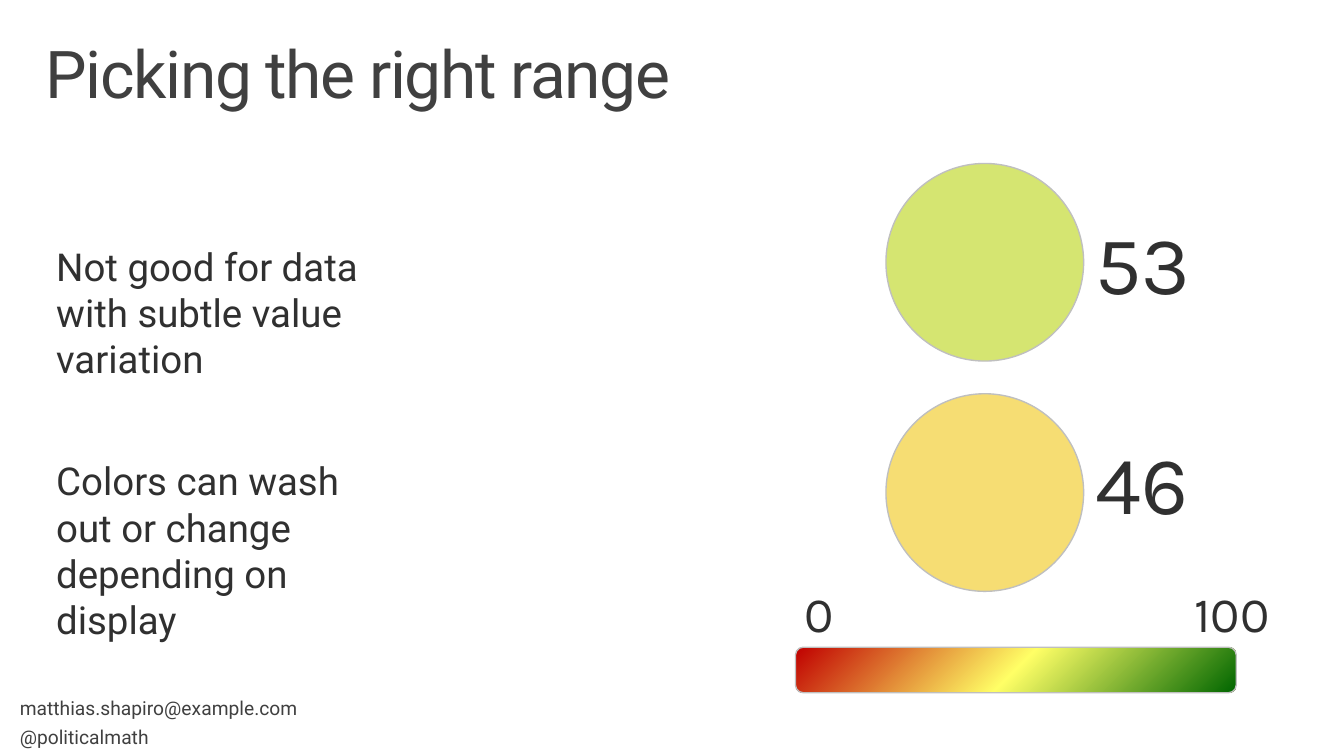
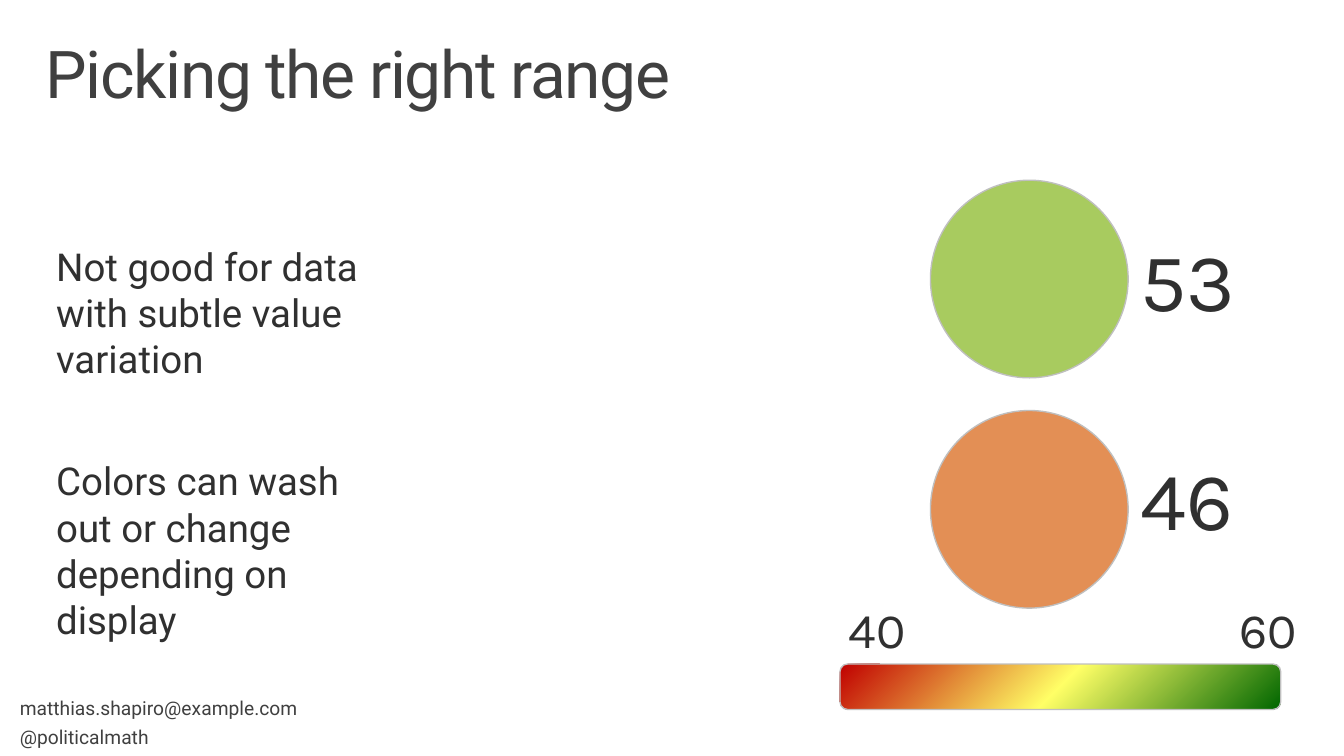
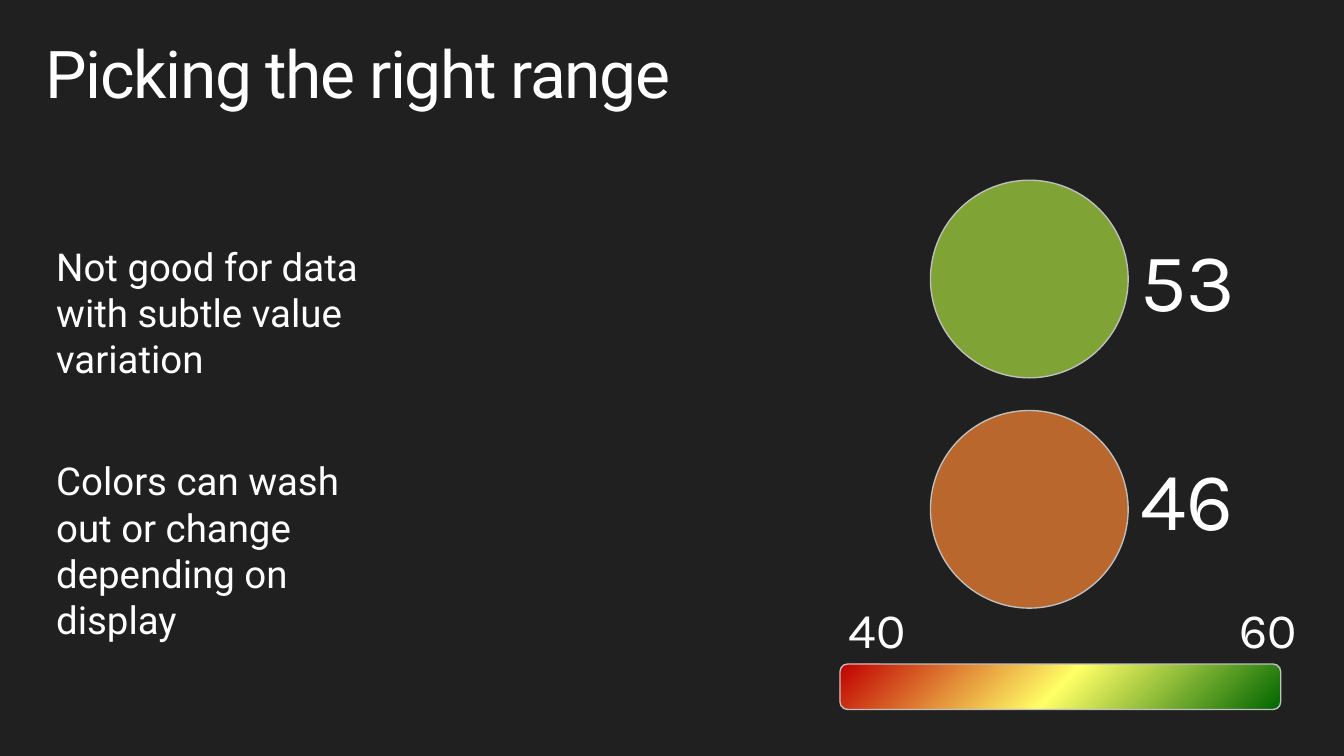
from dataclasses import dataclass

from pptx import Presentation
from pptx import util as u
from pptx.dml.color import RGBColor
from pptx.enum import shapes, text
from pptx.oxml import parse_xml
from pptx.oxml.ns import nsdecls, qn
from pptx.oxml.xmlchemy import OxmlElement
from pptx.presentation import Presentation as Deck
from pptx.shapes.autoshape import Shape
from pptx.slide import Slide

# Shared look
WIDTH, HEIGHT = u.Inches(13.6), u.Inches(7.65)
BODY_FONT, NUMBER_FONT = "Roboto", "Karla"
WHITE = RGBColor(0xFF, 0xFF, 0xFF)
NIGHT = RGBColor(0x20, 0x20, 0x20)
INK = RGBColor(0x30, 0x30, 0x30)
TITLE_INK = RGBColor(0x40, 0x40, 0x40)
OUTLINE = RGBColor(0xBF, 0xBF, 0xBF)
LIME = RGBColor(0xCC, 0xE0, 0x52)
SAND = RGBColor(0xF5, 0xD6, 0x55)
LEAF = RGBColor(0x96, 0xC0, 0x3C)
RUST = RGBColor(0xDD, 0x77, 0x30)
SCALE_STOPS = (
    (0, RGBColor(0x00, 0x66, 0x00)),
    (50, RGBColor(0xFF, 0xFF, 0x66)),
    (100, RGBColor(0xC0, 0x00, 0x00)),
)
DOT_OPACITY = 82


@dataclass(frozen=True)
class Frame:
    """A rectangle in percent of the slide's width and height."""
    left: float
    top: float
    width: float
    height: float

    def shifted(self, across: float, down: float) -> "Frame":
        return Frame(self.left + across, self.top + down, self.width, self.height)

    def lengths(self) -> tuple[int, int, int, int]:
        return (int(WIDTH * self.left / 100), int(HEIGHT * self.top / 100),
                int(WIDTH * self.width / 100), int(HEIGHT * self.height / 100))


@dataclass(frozen=True)
class Reading:
    value: str
    color: RGBColor


@dataclass(frozen=True)
class Gauge:
    """Readings above a colour scale; left and top place the scale."""
    left: float
    top: float
    low: str
    high: str
    readings: tuple[Reading, ...]


@dataclass(frozen=True)
class Page:
    gauge: Gauge
    dark: bool = False


# Slide content
TITLE = "Picking the right range"
TITLE_FRAME = Frame(2.21, 4.18, 95.59, 13.07)
CONTACT = ("matthias.shapiro@example.com", "@politicalmath")
CONTACT_FRAME = Frame(0, 90.33, 42.87, 10.85)
NOTES = (
    ("Not good for data with subtle value variation", Frame(3.46, 31.5, 25.15, 26.01)),
    ("Colors can wash out or change depending on display", Frame(3.46, 59.87, 25.15, 32.16)),
)
WIDE_GAUGE = Gauge(59.19, 85.62, "0", "100", (Reading("53", LIME), Reading("46", SAND)))
NARROW_GAUGE = Gauge(62.5, 87.84, "40", "60", (Reading("53", LEAF), Reading("46", RUST)))
PAGES = (Page(WIDE_GAUGE), Page(NARROW_GAUGE), Page(NARROW_GAUGE, dark=True))

# Gauge parts, measured from the scale's top left corner
SCALE = Frame(0, 0, 32.79, 6.01)
DOT, DOT_PITCH = Frame(6.73, -64, 14.71, 26.14), 30.46
VALUE, VALUE_PITCH = Frame(21.6, -58.17, 9.41, 14.51), 29.02
LOW_END = Frame(-0.07, -9.2, 8.38, 9.28)
HIGH_END = LOW_END.shifted(29.04, 0)


def write_text(box: Shape, *lines: str, size: float, color: RGBColor,
               font: str = BODY_FONT, line_spacing: float = 1.0, space_after: float = 0,
               insets: tuple[float, float] = (0.1, 0.05), tracking: float = 0) -> None:
    frame = box.text_frame
    frame.word_wrap = True
    frame.auto_size = text.MSO_AUTO_SIZE.NONE
    frame.vertical_anchor = text.MSO_ANCHOR.TOP
    frame.margin_left = frame.margin_right = u.Inches(insets[0])
    frame.margin_top = frame.margin_bottom = u.Inches(insets[1])
    for index, line in enumerate(lines):
        para = frame.add_paragraph() if index else frame.paragraphs[0]
        para.alignment = text.PP_ALIGN.LEFT
        para.line_spacing = line_spacing
        para.space_after = u.Pt(space_after)
        span = para.add_run()
        span.text = line
        span.font.name = font
        span.font.size = u.Pt(size)
        span.font.color.rgb = color
        if tracking:
            span.font._element.set("spc", str(int(tracking * 100)))


def add_label(slide: Slide, frame: Frame, *lines: str, **style) -> None:
    write_text(slide.shapes.add_textbox(*frame.lengths()), *lines, **style)


def add_outlined(slide: Slide, kind: shapes.MSO_SHAPE, frame: Frame) -> Shape:
    shape = slide.shapes.add_shape(kind, *frame.lengths())
    shape.shadow.inherit = False
    shape.line.color.rgb = OUTLINE
    shape.line.width = u.Pt(1)
    return shape


def add_dot(slide: Slide, frame: Frame, color: RGBColor) -> None:
    dot = add_outlined(slide, shapes.MSO_SHAPE.OVAL, frame)
    dot.fill.solid()
    dot.fill.fore_color.rgb = color
    alpha = OxmlElement("a:alpha")
    alpha.set("val", str(DOT_OPACITY * 1000))
    dot._element.spPr.find(qn("a:solidFill"))[0].append(alpha)


def add_scale(slide: Slide, frame: Frame) -> None:
    bar = add_outlined(slide, shapes.MSO_SHAPE.ROUNDED_RECTANGLE, frame)
    bar.fill.background()
    stops = "".join(f'<a:gs pos="{share * 1000}"><a:srgbClr val="{color}"/></a:gs>'
                    for share, color in SCALE_STOPS)
    gradient = parse_xml(
        f'<a:gradFill {nsdecls("a")} rotWithShape="1"><a:gsLst>{stops}</a:gsLst>'
        '<a:path path="circle"><a:fillToRect l="100000" t="100000"/></a:path></a:gradFill>')
    properties = bar._element.spPr
    properties.replace(properties.find(qn("a:noFill")), gradient)


def add_gauge(slide: Slide, gauge: Gauge, color: RGBColor) -> None:
    origin = gauge.left, gauge.top
    for row, reading in enumerate(gauge.readings):
        add_dot(slide, DOT.shifted(*origin).shifted(0, row * DOT_PITCH), reading.color)
        add_label(slide, VALUE.shifted(*origin).shifted(0, row * VALUE_PITCH),
                  reading.value, size=60, color=color, font=NUMBER_FONT)
    add_scale(slide, SCALE.shifted(*origin))
    for frame, limit in ((LOW_END, gauge.low), (HIGH_END, gauge.high)):
        add_label(slide, frame.shifted(*origin), limit, size=36, color=color, font=NUMBER_FONT)


def add_page(deck: Deck, page: Page) -> None:
    slide = deck.slides.add_slide(deck.slide_layouts.get_by_name("Title Only"))
    backdrop = slide.background.fill
    backdrop.solid()
    backdrop.fore_color.rgb = NIGHT if page.dark else WHITE
    ink = WHITE if page.dark else INK

    # Title
    title = slide.shapes.title
    title.left, title.top, title.width, title.height = TITLE_FRAME.lengths()
    write_text(title, TITLE, size=48, color=WHITE if page.dark else TITLE_INK,
               line_spacing=0.9, insets=(0.16, 0.1), tracking=-1)

    # Notes, gauge and footer
    for note, frame in NOTES:
        add_label(slide, frame, note, size=28, color=ink)
    add_gauge(slide, page.gauge, ink)
    if not page.dark:
        add_label(slide, CONTACT_FRAME, *CONTACT, size=14, color=TITLE_INK,
                  line_spacing=0.9, space_after=6, insets=(0.2, 0.16))


def main() -> None:
    deck = Presentation()
    deck.slide_width, deck.slide_height = WIDTH, HEIGHT
    for page in PAGES:
        add_page(deck, page)
    deck.save("out.pptx")


if __name__ == "__main__":
    main()
